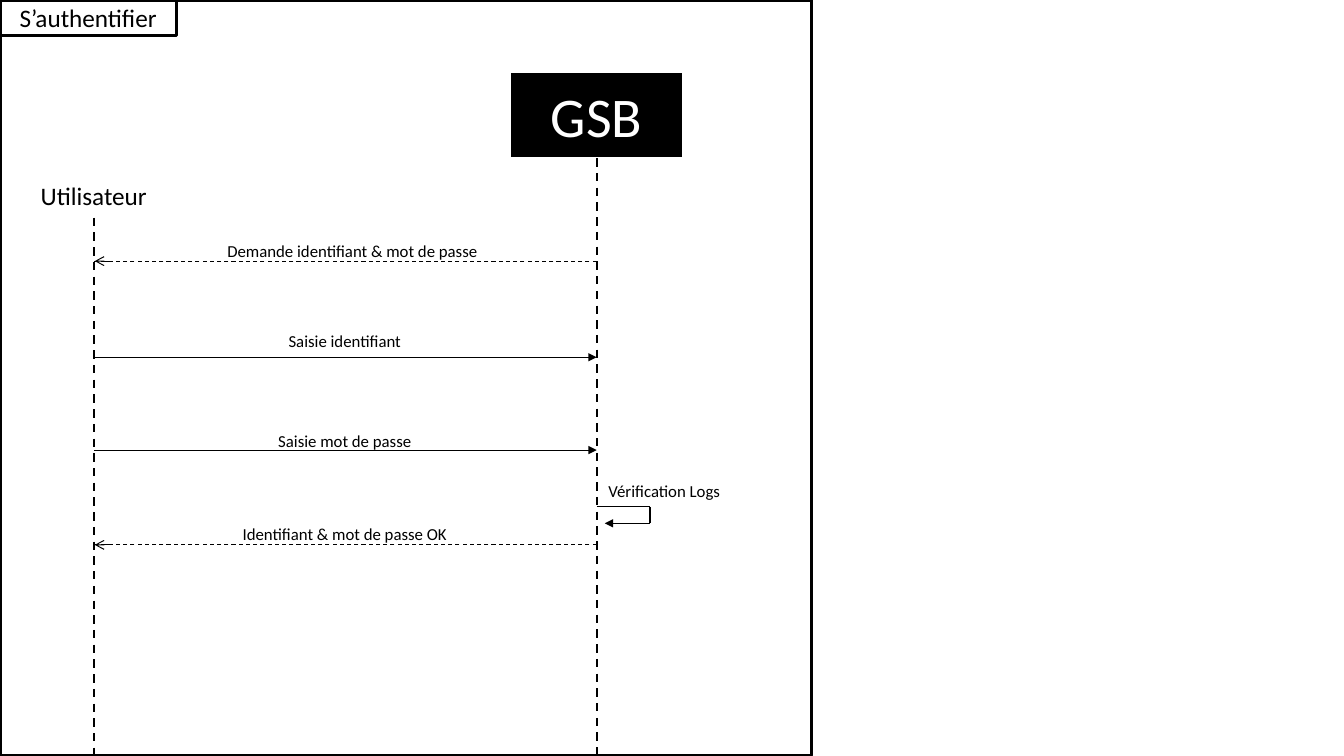
from lxml.etree import SubElement
from pptx import Presentation
from pptx.dml.color import RGBColor
from pptx.enum.dml import MSO_LINE_DASH_STYLE as Dash
from pptx.enum.shapes import MSO_CONNECTOR, MSO_SHAPE
from pptx.enum.text import MSO_ANCHOR, PP_ALIGN
from pptx.oxml.ns import qn
from pptx.util import Pt

COLORS = {"ink": "000000", "paper": "FFFFFF"}
FONT = "Calibri"
SLIDE_SIZE = (960, 540)

FRAME = (0, 0, 579.6, 540)
TITLE = ("S’authentifier", (0, 0, 126, 25.2))
ACTOR = ("Utilisateur", (19.44, 123.84, 95.04, 31.68))
SYSTEM = ("GSB", (364.5, 51.1, 123.1, 62))
CHECK = ("Vérification Logs", (422, 338.4, 105.1, 23.8))

USER_X, SYSTEM_X = 67, 426.2
LOOP_RIGHT, LOOP_TIP = 464.4, 432
LOOP_TOP, LOOP_BOTTOM = 362, 373.8
LABEL_LEFT, LABEL_HEIGHT = 152, 24.5

MESSAGES = [
    ("Demande identifiant & mot de passe ", 167, 202.3, 186.5, "reply"),
    ("Saisie identifiant", 231.1, 188.6, 255.2, "request"),
    ("Saisie mot de passe", 302.4, 188.6, 321.5, "request"),
    ("Identifiant & mot de passe OK", 369.4, 188.6, 389.2, "reply"),
]

presentation = Presentation()
presentation.slide_width, presentation.slide_height = map(Pt, SLIDE_SIZE)
slide = presentation.slides.add_slide(presentation.slide_layouts[6])


def color(name):
    return RGBColor.from_string(COLORS[name])


def write(shape, text, size, ink="ink"):
    text_frame = shape.text_frame
    text_frame.word_wrap = True
    text_frame.vertical_anchor = MSO_ANCHOR.MIDDLE
    text_frame.text = text
    paragraph = text_frame.paragraphs[0]
    paragraph.alignment = PP_ALIGN.CENTER
    font = paragraph.runs[0].font
    font.name, font.size = FONT, Pt(size)
    font.color.rgb = color(ink)


def add_box(box, line_width, fill=None, line="ink"):
    shape = slide.shapes.add_shape(MSO_SHAPE.RECTANGLE, *map(Pt, box))
    shape.shadow.inherit = False
    if fill:
        shape.fill.solid()
        shape.fill.fore_color.rgb = color(fill)
    else:
        shape.fill.background()
    shape.line.color.rgb = color(line)
    shape.line.width = Pt(line_width)
    return shape


def add_label(text, box, size):
    write(slide.shapes.add_textbox(*map(Pt, box)), text, size)


def add_line(start, end, width, dashed=False, head=None):
    connector = slide.shapes.add_connector(
        MSO_CONNECTOR.STRAIGHT, *map(Pt, start + end))
    connector.line.color.rgb = color("ink")
    connector.line.width = Pt(width)
    if dashed:
        connector.line.dash_style = Dash.DASH
    if head:
        SubElement(connector.line._get_or_add_ln(), qn("a:tailEnd"), type=head)
    SubElement(connector._element.spPr, qn("a:effectLst"))


add_box(FRAME, 2.25)
write(add_box(TITLE[1], 2.25), TITLE[0], 18)
add_label(*ACTOR, 18)
write(add_box(SYSTEM[1], 1.5, "ink", "paper"), SYSTEM[0], 40, "paper")

for x, (_, (_, top, _, height)) in ((USER_X, ACTOR), (SYSTEM_X, SYSTEM)):
    add_line((x, top + height), (x, FRAME[3]), 1.5, dashed=True)

for text, label_top, label_width, y, kind in MESSAGES:
    if kind == "request":
        add_line((USER_X, y), (SYSTEM_X, y), 0.5, head="triangle")
    else:
        add_line((SYSTEM_X, y), (USER_X, y), 0.75, dashed=True)
        add_line((USER_X + 10.8, y), (USER_X + 0.7, y), 0.75, head="arrow")
    add_label(text, (LABEL_LEFT, label_top, label_width, LABEL_HEIGHT), 12)

add_line((SYSTEM_X, LOOP_TOP), (LOOP_RIGHT, LOOP_TOP), 1)
add_line((LOOP_RIGHT, LOOP_TOP), (LOOP_RIGHT, LOOP_BOTTOM), 1)
add_line((LOOP_RIGHT, LOOP_BOTTOM), (LOOP_TIP, LOOP_BOTTOM), 1, head="triangle")
add_label(*CHECK, 12)

presentation.save("out.pptx")
